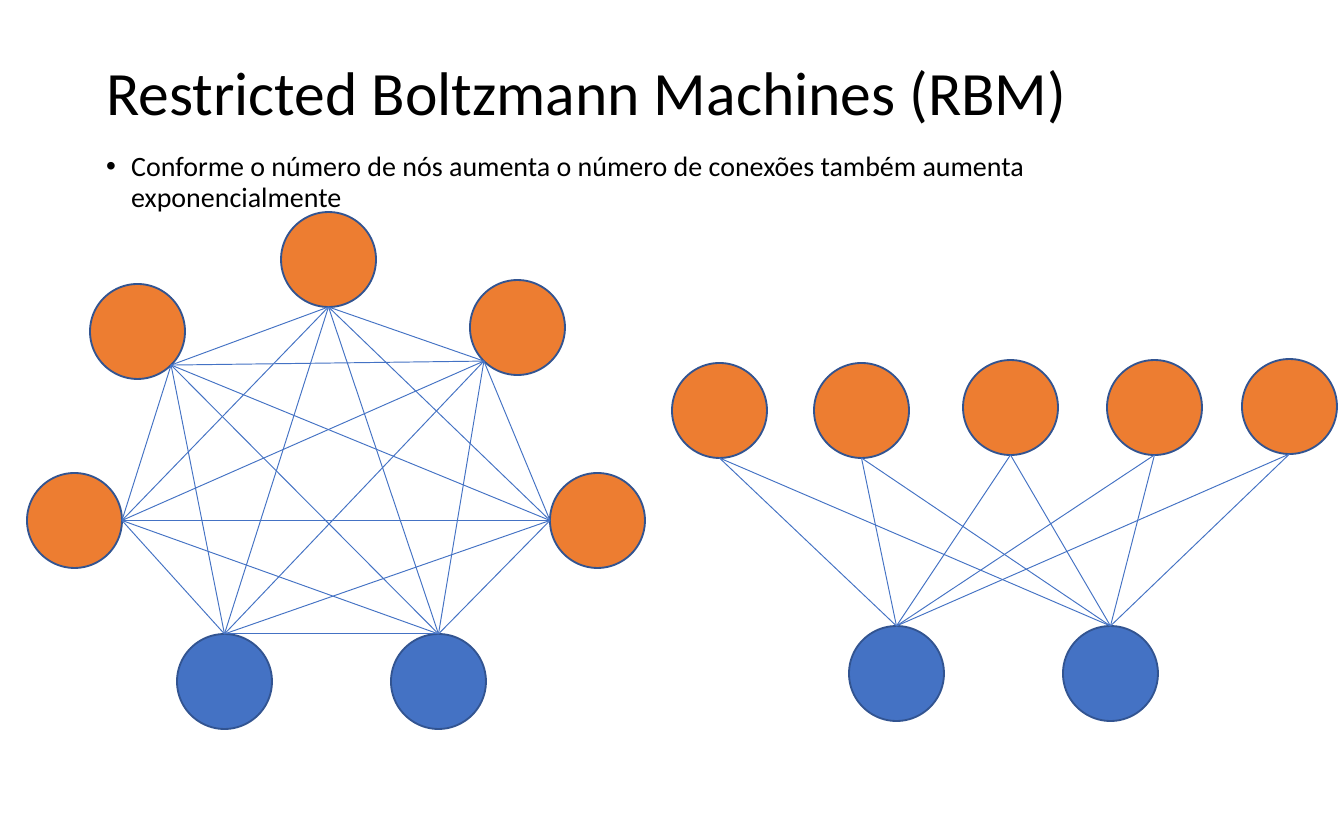
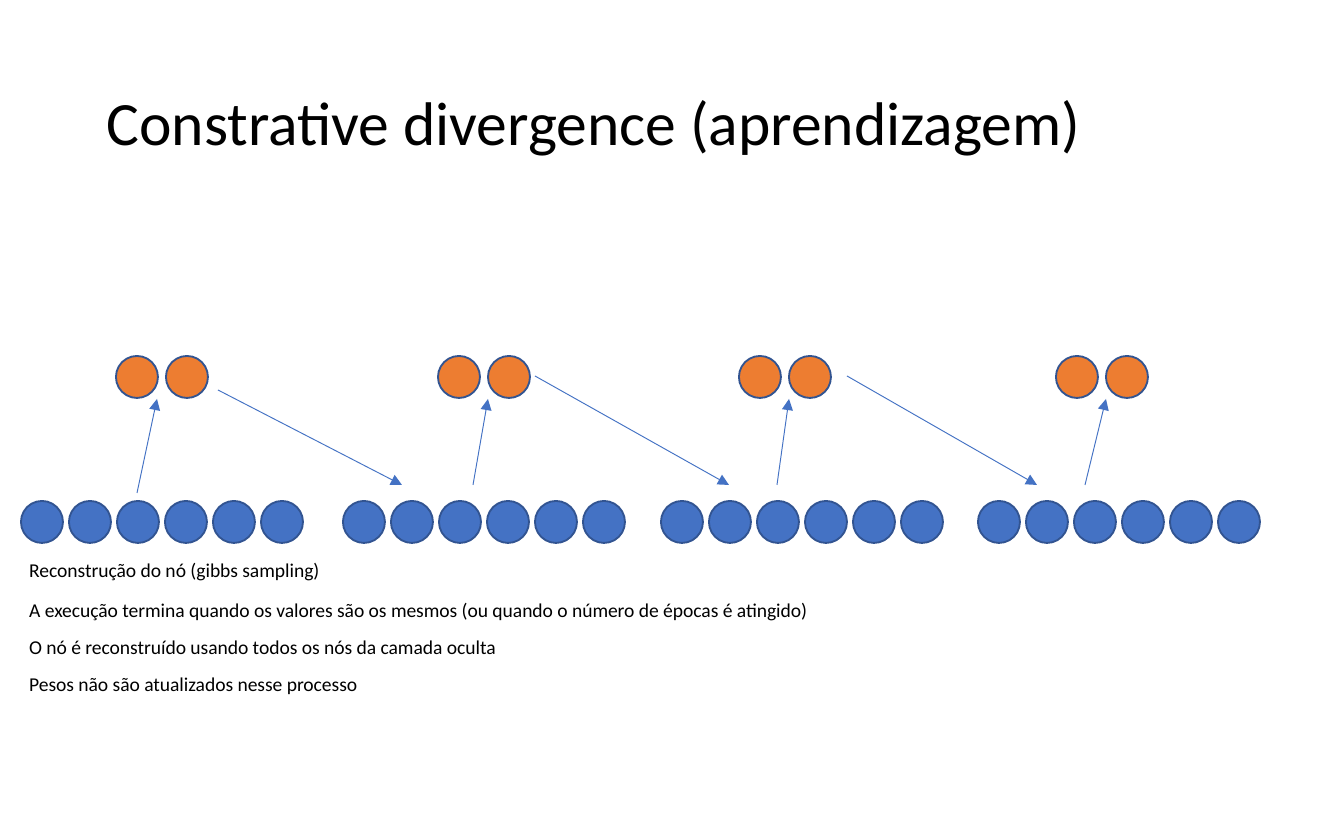
"""Builds two slides on restricted Boltzmann machines and contrastive divergence."""
from dataclasses import dataclass
from itertools import combinations, product

from lxml.etree import SubElement
from pptx import Presentation
from pptx.dml.color import RGBColor
from pptx.enum.shapes import MSO_CONNECTOR, MSO_SHAPE
from pptx.enum.text import MSO_ANCHOR, MSO_AUTO_SIZE, PP_ALIGN
from pptx.oxml.ns import qn
from pptx.util import Inches, Pt


@dataclass(frozen=True)
class Theme:
    font: str = "Calibri"
    text: str = "000000"
    visible: str = "4472C4"
    hidden: str = "ED7D31"
    outline: str = "325491"
    link: str = "4472C4"
    title_size: float = 33
    body_size: float = 15
    note_size: float = 10.5
    outline_width: float = 1
    link_width: float = 0.5
    line_spacing: float = 0.9


THEME = Theme()
TITLE_ONLY = 5
TOP, BOTTOM_LEFT, LEFT, BOTTOM, BOTTOM_RIGHT, RIGHT = 0, 3, 2, 4, 5, 6

RBM_TITLE = ("Restricted Boltzmann Machines (RBM)", (93, 23, 1159, 146))
RBM_BODY = (
    "Conforme o número de nós aumenta o número de conexões também aumenta exponencialmente",
    (93, 146, 1159, 480),
)
RBM_DIAMETER = 95
FULL_VISIBLE = [(177, 634, TOP), (391, 634, TOP)]
FULL_HIDDEN = [
    (27, 473, RIGHT),
    (90, 284, BOTTOM_RIGHT),
    (281, 212, BOTTOM),
    (470, 280, BOTTOM_LEFT),
    (550, 473, LEFT),
]
RESTRICTED_VISIBLE = [(849, 626, TOP), (1063, 626, TOP)]
RESTRICTED_HIDDEN = [
    (672, 363, BOTTOM),
    (814, 363, BOTTOM),
    (963, 360, BOTTOM),
    (1107, 360, BOTTOM),
    (1242, 359, BOTTOM),
]

DIVERGENCE_TITLE = ("Constrative divergence (aprendizagem)", (93, 44, 1159, 163))
STEP_DIAMETER = 42
HIDDEN_ROW = {"top": 356, "count": 2, "pitch": 50, "color": THEME.hidden}
VISIBLE_ROW = {"top": 501, "count": 6, "pitch": 48, "color": THEME.visible}
STEPS = [
    {"visible": 21, "hidden": 116, "up": (137, 493, 157, 399), "down": (218, 390, 402, 485)},
    {"visible": 343, "hidden": 438, "up": (473, 485, 488, 399), "down": (535, 376, 729, 485)},
    {"visible": 661, "hidden": 739, "up": (777, 485, 789, 399), "down": (847, 376, 1037, 485)},
    {"visible": 978, "hidden": 1056, "up": (1085, 485, 1106, 399)},
]
NOTES = [
    ("Reconstrução do nó (gibbs sampling)", 551, 323),
    ("A execução termina quando os valores são os mesmos (ou quando o número de épocas é atingido)", 591, 820),
    ("O nó é reconstruído usando todos os nós da camada oculta", 628, 501),
    ("Pesos não são atualizados nesse processo", 665, 362),
]
NOTE_LEFT, NOTE_HEIGHT = 16, 37


def px(value):
    return Inches(value / 134.4)


def color(value):
    return RGBColor.from_string(value)


def format_text(text_frame, size):
    for paragraph in text_frame.paragraphs:
        paragraph.alignment = PP_ALIGN.LEFT
        for run in paragraph.runs:
            run.font.name = THEME.font
            run.font.size = Pt(size)
            run.font.color.rgb = color(THEME.text)


def add_titled_slide(presentation, text, box):
    slide = presentation.slides.add_slide(presentation.slide_layouts[TITLE_ONLY])
    title = slide.shapes.title
    title.left, title.top, title.width, title.height = map(px, box)
    text_frame = title.text_frame
    text_frame.text = text
    text_frame.auto_size = MSO_AUTO_SIZE.NONE
    text_frame.vertical_anchor = MSO_ANCHOR.MIDDLE
    text_frame.paragraphs[0].line_spacing = THEME.line_spacing
    format_text(text_frame, THEME.title_size)
    return slide


def add_text(shapes, text, box, size, wrap):
    text_frame = shapes.add_textbox(*map(px, box)).text_frame
    text_frame.word_wrap = wrap
    text_frame.auto_size = MSO_AUTO_SIZE.NONE if wrap else MSO_AUTO_SIZE.SHAPE_TO_FIT_TEXT
    text_frame.text = text
    format_text(text_frame, size)
    return text_frame


def add_bullet(paragraph):
    paragraph.line_spacing = THEME.line_spacing
    paragraph.space_before = Pt(7.5)
    properties = paragraph._p.get_or_add_pPr()
    properties.set("marL", str(px(25)))
    properties.set("indent", str(-px(25)))
    SubElement(properties, qn("a:buFont"), typeface="Arial")
    SubElement(properties, qn("a:buChar"), char="•")


def add_node(shapes, left, top, diameter, fill):
    node = shapes.add_shape(MSO_SHAPE.OVAL, px(left), px(top), px(diameter), px(diameter))
    node.shadow.inherit = False
    node.fill.solid()
    node.fill.fore_color.rgb = color(fill)
    node.line.color.rgb = color(THEME.outline)
    node.line.width = Pt(THEME.outline_width)
    return node


def add_line(shapes, points, arrow=False):
    line = shapes.add_connector(MSO_CONNECTOR.STRAIGHT, *map(px, points))
    line.line.color.rgb = color(THEME.link)
    line.line.width = Pt(THEME.link_width)
    if arrow:
        SubElement(line.line._get_or_add_ln(), qn("a:tailEnd"), type="triangle")
    SubElement(line._element.spPr, qn("a:effectLst"))
    return line


def site_point(left, top, site):
    radius = RBM_DIAMETER / 2
    diagonal = radius * 0.5 ** 0.5
    shift_x, shift_y = {
        TOP: (0, -radius),
        LEFT: (-radius, 0),
        BOTTOM_LEFT: (-diagonal, diagonal),
        BOTTOM: (0, radius),
        BOTTOM_RIGHT: (diagonal, diagonal),
        RIGHT: (radius, 0),
    }[site]
    return left + radius + shift_x, top + radius + shift_y


def add_network(shapes, visible, hidden, restricted):
    nodes = {}
    for layer, fill in ((visible, THEME.visible), (hidden, THEME.hidden)):
        for place in layer:
            nodes[place] = add_node(shapes, place[0], place[1], RBM_DIAMETER, fill)
    pairs = product(visible, hidden) if restricted else combinations(visible + hidden, 2)
    for start, end in pairs:
        line = add_line(shapes, site_point(*start) + site_point(*end))
        joints = line._element.nvCxnSpPr.cNvCxnSpPr
        for tag, place in (("a:stCxn", start), ("a:endCxn", end)):
            SubElement(joints, qn(tag), id=str(nodes[place].shape_id), idx=str(place[2]))


def add_row(slide, left, top, count, pitch, color):
    group = slide.shapes.add_group_shape()
    for index in range(count):
        add_node(group.shapes, left + index * pitch, top, STEP_DIAMETER, color)


def build_rbm_slide(presentation):
    slide = add_titled_slide(presentation, *RBM_TITLE)
    body = add_text(slide.shapes, *RBM_BODY, THEME.body_size, True)
    add_bullet(body.paragraphs[0])
    group = slide.shapes.add_group_shape()
    add_network(group.shapes, FULL_VISIBLE, FULL_HIDDEN, False)
    add_network(slide.shapes, RESTRICTED_VISIBLE, RESTRICTED_HIDDEN, True)


def build_divergence_slide(presentation):
    slide = add_titled_slide(presentation, *DIVERGENCE_TITLE)
    for step in STEPS:
        add_row(slide, step["hidden"], **HIDDEN_ROW)
        add_row(slide, step["visible"], **VISIBLE_ROW)
        for direction in ("up", "down"):
            if direction in step:
                add_line(slide.shapes, step[direction], arrow=True)
    for text, top, width in NOTES:
        add_text(slide.shapes, text, (NOTE_LEFT, top, width, NOTE_HEIGHT), THEME.note_size, False)


def main():
    presentation = Presentation()
    presentation.slide_width, presentation.slide_height = px(1344), px(840)
    build_rbm_slide(presentation)
    build_divergence_slide(presentation)
    presentation.save("out.pptx")


if __name__ == "__main__":
    main()
